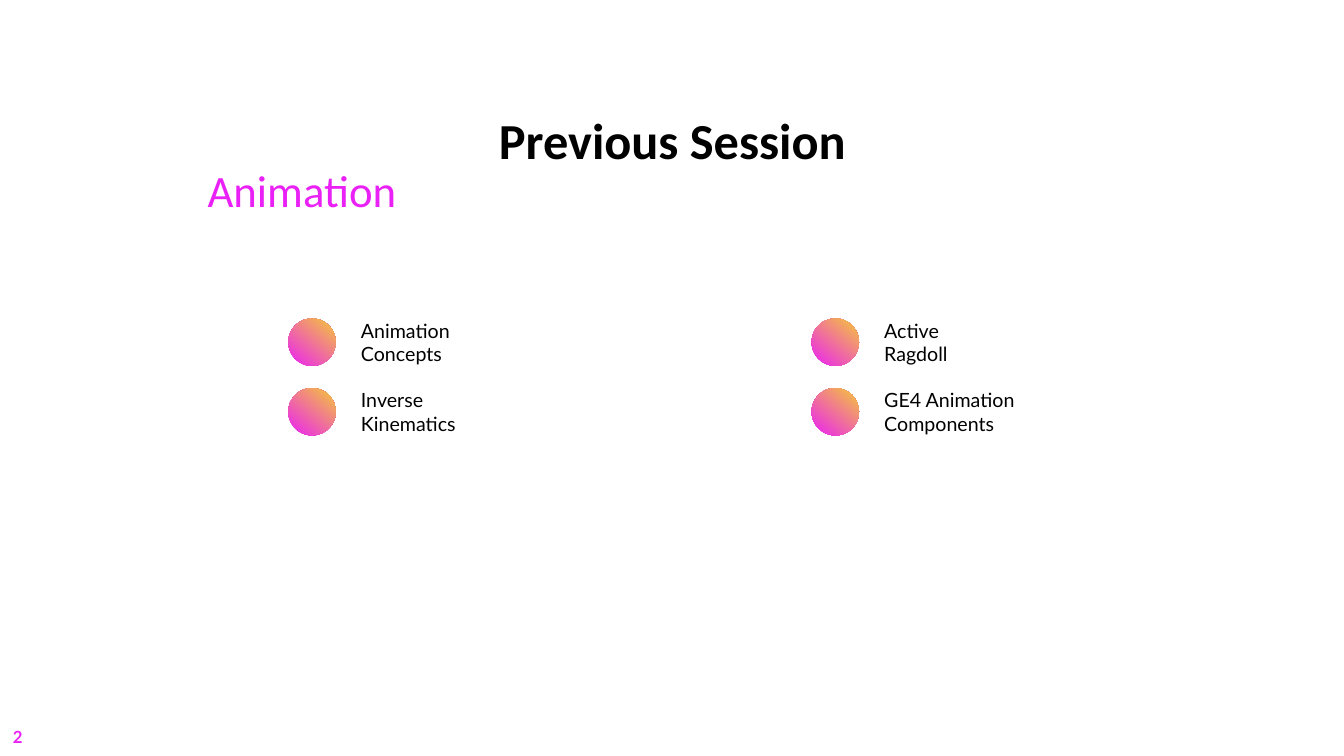
from pptx import Presentation
from pptx.dml.color import RGBColor
from pptx.enum.shapes import MSO_SHAPE as Shape
from pptx.enum.text import MSO_ANCHOR as Anchor, MSO_AUTO_SIZE as AutoSize, PP_ALIGN as Align
from pptx.util import Inches, Pt

COLORS = {"accent": "EA21F6", "glow": "F5C938", "ink": "000000"}
TOPIC_COLUMNS = [
    [("Animation Concepts", 1.5), ("Inverse Kinematics", 1.4)],
    [("Active Ragdoll", 1.0), ("GE4 Animation Components", 1.6)],
]


def color(name):
    return RGBColor.from_string(COLORS[name])


def place(shape, left, top, width, height):
    shape.left, shape.top = Inches(left), Inches(top)
    shape.width, shape.height = Inches(width), Inches(height)


def write(shape, text, font, size, ink, bold=False, anchor=Anchor.TOP, wrap=True):
    frame = shape.text_frame
    frame.text = text
    frame.word_wrap = wrap
    frame.auto_size = AutoSize.NONE
    frame.vertical_anchor = anchor
    para = frame.paragraphs[0]
    span = para.runs[0]
    span.font.name = font
    span.font.size = Pt(size)
    span.font.bold = bold
    span.font.color.rgb = color(ink)
    return para


def add_text(page, left, top, width, height, text, *style, **options):
    box = page.shapes.add_textbox(
        Inches(left), Inches(top), Inches(width), Inches(height))
    return box, write(box, text, *style, **options)


def add_heading(page, left, top, width):
    title = page.shapes.title
    place(title, left, top, width, 0.62)
    para = write(title, "Previous Session", "Calibri", 36, "ink", bold=True)
    para.alignment = Align.CENTER
    para.line_spacing = 0.8
    subtitle, para = add_text(page, left, top + 0.53, width, 0.47, "Animation",
                              "Calibri", 32, "accent", anchor=Anchor.MIDDLE)
    para.line_spacing = 0.9


def add_topic(page, left, top, text, text_width):
    size = 0.47
    dot = page.shapes.add_shape(
        Shape.OVAL, Inches(left), Inches(top), Inches(size), Inches(size))
    dot.shadow.inherit = False
    dot.line.fill.background()
    dot.fill.gradient()
    dot.fill.gradient_angle = 50
    for stop, name, position in zip(dot.fill.gradient_stops, ("accent", "glow"), (0, 1)):
        stop.color.rgb = color(name)
        stop.position = position
    label, para = add_text(page, left + 0.72, top - 0.05, text_width, size + 0.1, text,
                           "Lato", 14, "ink", anchor=Anchor.MIDDLE)
    label.text_frame.margin_left = 0


def add_topics(page, left, top):
    for column, topics in enumerate(TOPIC_COLUMNS):
        for row, (text, text_width) in enumerate(topics):
            add_topic(page, left + 5.19 * column, top + 0.69 * row, text, text_width)


def add_page_number(page, left, top):
    add_text(page, left, top, 0.4, 0.3, "2", "Lato", 12, "accent", bold=True, wrap=False)


def main():
    deck = Presentation()
    deck.slide_width, deck.slide_height = Inches(13.33), Inches(7.5)
    page = deck.slides.add_slide(deck.slide_layouts[5])
    add_heading(page, 1.96, 1.15, 9.42)
    add_topics(page, 2.86, 3.16)
    add_page_number(page, 0.03, 7.16)
    deck.save("out.pptx")


if __name__ == "__main__":
    main()
